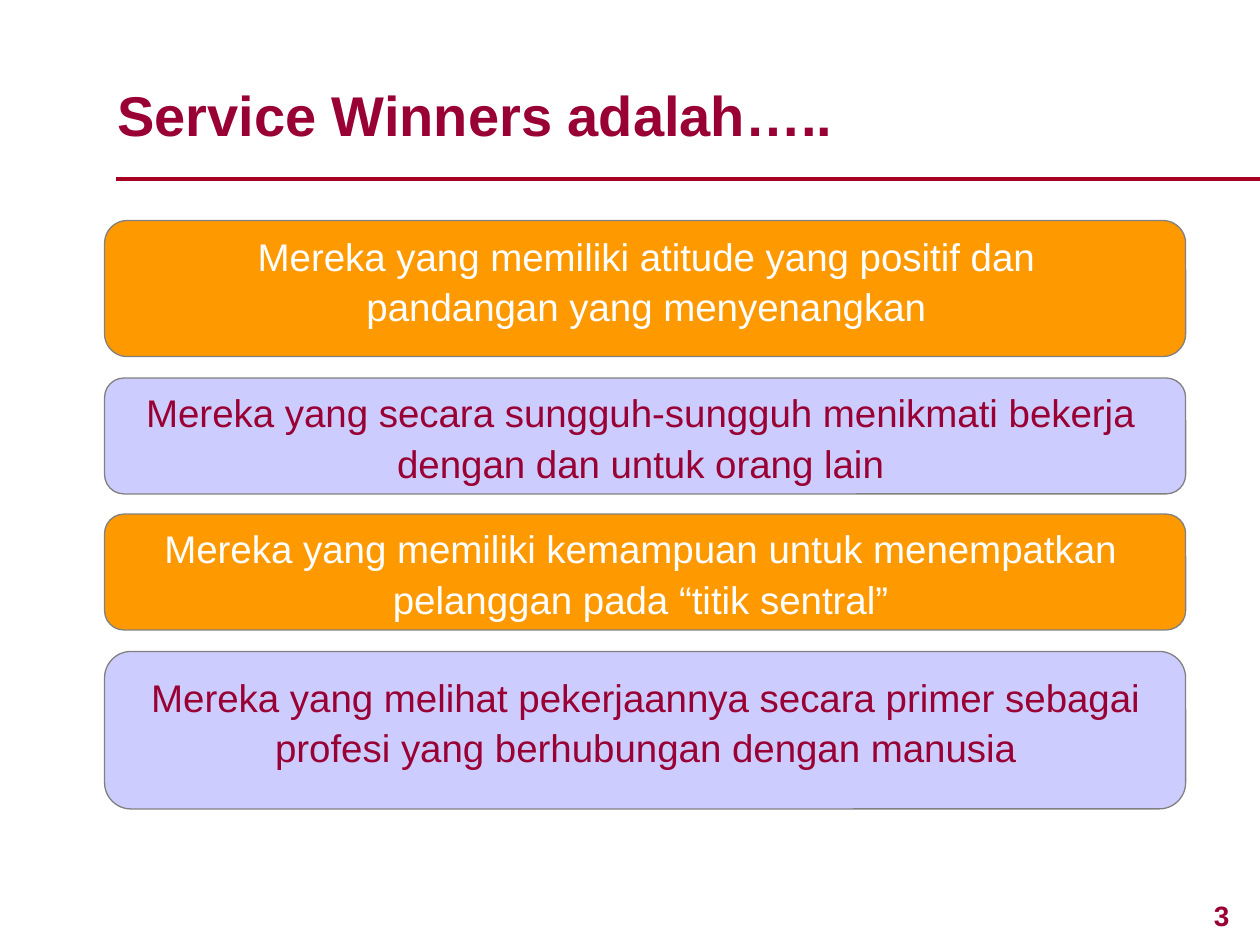
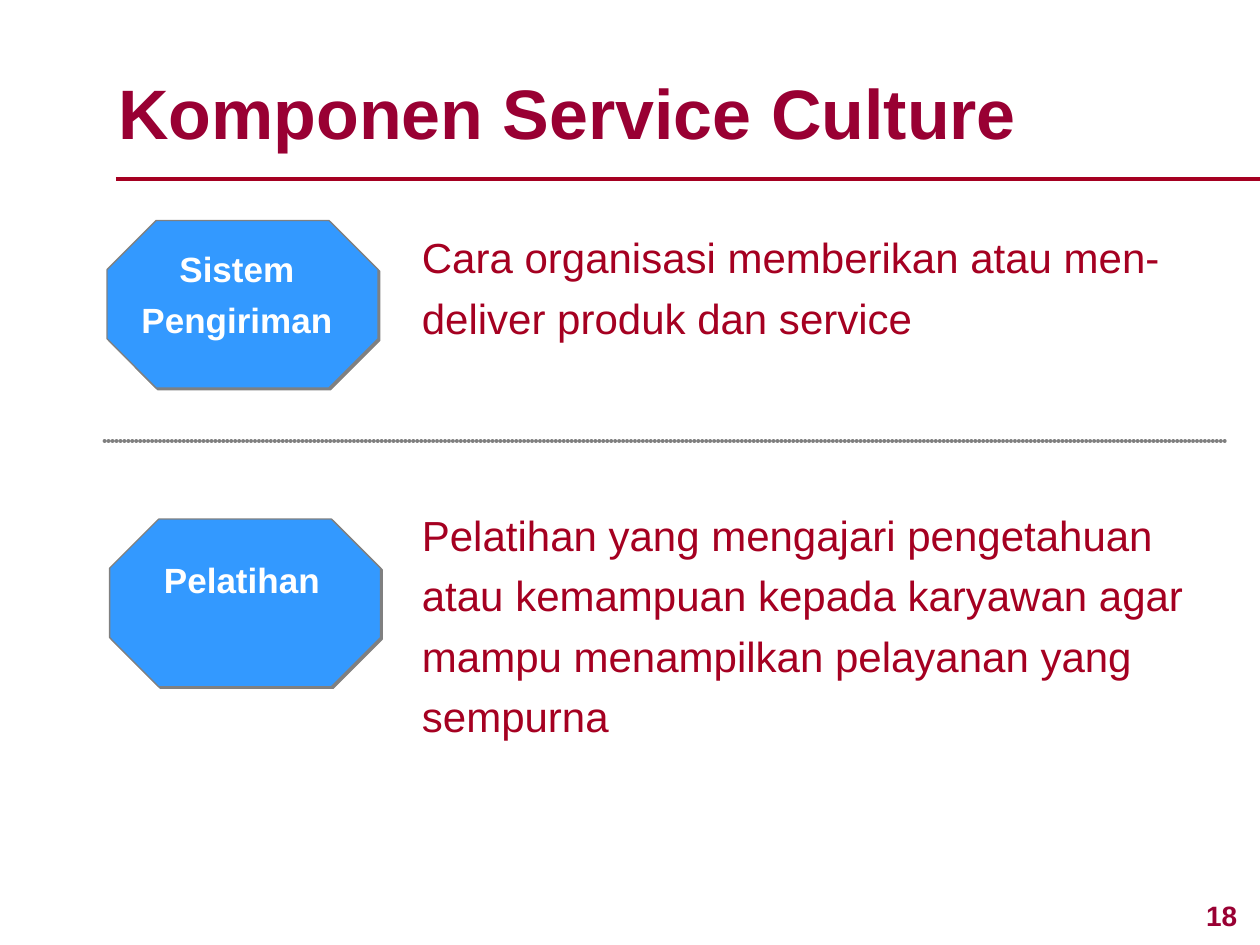
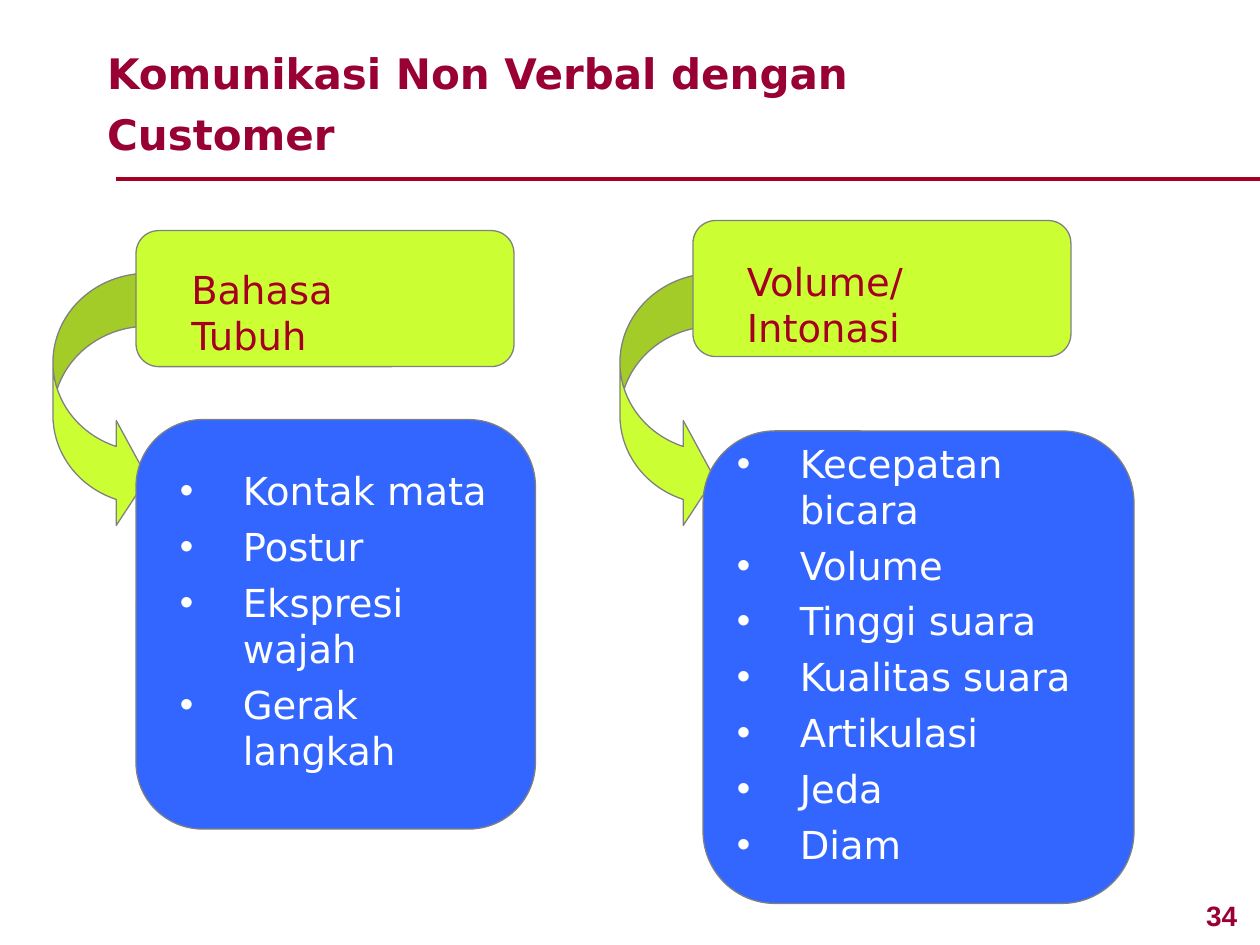
"""Build three slides on service winners, service culture and non-verbal communication."""
from lxml.etree import SubElement
from pptx import Presentation
from pptx.dml.color import RGBColor
from pptx.enum.shapes import MSO_CONNECTOR, MSO_SHAPE as SHAPE
from pptx.enum.text import MSO_ANCHOR as ANCHOR, MSO_AUTO_SIZE, PP_ALIGN as ALIGN
from pptx.oxml import parse_xml
from pptx.oxml.ns import nsdecls, qn
from pptx.util import Inches, Pt

MAROON, CRIMSON, WHITE, GRAY = "990033", "A50021", "FFFFFF", "808080"
ORANGE, LAVENDER, SKY, LIME, BLUE = "FF9900", "CCCCFF", "3399FF", "CCFF33", "3366FF"
SANS, WIDE = "Arial", "DejaVu Sans"
rgb = RGBColor.from_string


def write(box, paragraphs, size, color, font=SANS, bold=False, align=ALIGN.LEFT,
          spacing=1.0, anchor=ANCHOR.TOP, bullets=False):
    """Fill a text box or placeholder with evenly styled paragraphs."""
    frame = box.text_frame
    frame.word_wrap = True
    frame.auto_size = MSO_AUTO_SIZE.NONE
    frame.vertical_anchor = anchor
    for index, words in enumerate(paragraphs):
        paragraph = frame.paragraphs[0] if index == 0 else frame.add_paragraph()
        paragraph.alignment = align
        paragraph.line_spacing = spacing
        if bullets:
            if index:
                paragraph.space_before = Pt(5.5)
            properties = paragraph._p.get_or_add_pPr()
            properties.set("marL", str(Inches(0.5)))
            properties.set("indent", str(Inches(-0.5)))
            SubElement(properties, qn("a:buFont")).set("typeface", SANS)
            SubElement(properties, qn("a:buChar")).set("char", "•")
        run = paragraph.add_run()
        run.text = words
        run.font.name, run.font.size, run.font.bold = font, Pt(size), bold
        run.font.color.rgb = rgb(color)


def panel(slide, kind, place, fill, adjustments):
    """Add a filled shape with a thin gray outline."""
    shape = slide.shapes.add_shape(kind, *map(Inches, place))
    for index, value in enumerate(adjustments):
        shape.adjustments[index] = value
    shape.shadow.inherit = False
    shape.fill.solid()
    shape.fill.fore_color.rgb = rgb(fill)
    shape.line.color.rgb = rgb(GRAY)
    shape.line.width = Pt(0.75)
    return shape


deck = Presentation()
deck.slide_width, deck.slide_height = Inches(10), Inches(7.5)

headings = [
    ("Service Winners adalah…..", "3", (0.83, 0.59, 5.9, 0.64), 32, SANS, 1.0),
    ("Komponen Service Culture", "18", (0.84, 0.5, 7.35, 0.77), 40, SANS, 1.0),
    ("Komunikasi Non Verbal dengan Customer", "34", (0.75, 0.25, 6.75, 1.06), 24, WIDE, 1.2),
]
rules = [[(0.92, 1.42, 10, CRIMSON)],
         [(0.92, 1.42, 10, CRIMSON), (0.83, 3.5, 9.75, GRAY)],
         [(0.92, 1.42, 10, CRIMSON)]]
slides = []
for (heading, number, place, size, font, spacing), slide_rules in zip(headings, rules):
    slide = deck.slides.add_slide(deck.slide_layouts[5])
    slides.append(slide)
    title = slide.shapes.title
    title.left, title.top, title.width, title.height = map(Inches, place)
    write(title, [heading], size, MAROON, font, True, spacing=spacing)
    page = slide.shapes.add_textbox(*map(Inches, (9.39, 7.08, 0.61, 0.37)))
    write(page, [number], 16, MAROON, bold=True, align=ALIGN.CENTER)
    for left, top, right, color in slide_rules:
        rule = slide.shapes.add_connector(
            MSO_CONNECTOR.STRAIGHT, *map(Inches, (left, top, right, top)))
        rule.line.color.rgb = rgb(color)
        rule.line.width = Pt(2.25)
        SubElement(rule._element.spPr, qn("a:effectLst"))
        if color == GRAY:
            stroke = rule.line._get_or_add_ln()
            stroke.set("cap", "rnd")
            dash = SubElement(SubElement(stroke, qn("a:custDash")), qn("a:ds"))
            dash.set("d", "1000")
            dash.set("sp", "100000")

winners, culture, nonverbal = slides

traits = [
    ("Mereka yang memiliki atitude yang positif dan pandangan yang menyenangkan",
     1.75, 1.08, (1.17, 1.76, 7.92, 0.91)),
    ("Mereka yang secara sungguh-sungguh menikmati bekerja dengan dan untuk orang lain",
     3, 0.92, (1, 3, 8.17, 0.91)),
    ("Mereka yang memiliki kemampuan untuk menempatkan pelanggan pada “titik sentral”",
     4.08, 0.92, (1, 4.08, 8.17, 0.91)),
    ("Mereka yang melihat pekerjaannya secara primer sebagai profesi yang berhubungan "
     "dengan manusia", 5.17, 1.25, (1, 5.26, 8.25, 0.91)),
]
for index, (trait, top, height, place) in enumerate(traits):
    fill, color = [(ORANGE, WHITE), (LAVENDER, MAROON)][index % 2]
    panel(winners, SHAPE.ROUNDED_RECTANGLE, (0.83, top, 8.58, height), fill, [0.167])
    write(winners.shapes.add_textbox(*map(Inches, place)), [trait], 22, color,
          align=ALIGN.CENTER, spacing=1.1)

components = [
    ("Sistem Pengiriman", (0.85, 1.75), (0.92, 1.85, 1.92, 0.9),
     "Cara organisasi memberikan atau men-deliver produk dan service",
     (3.25, 1.71, 6.25, 1.06)),
    ("Pelatihan", (0.87, 4.12), (1.08, 4.32, 1.68, 0.5),
     "Pelatihan yang mengajari pengetahuan atau kemampuan kepada karyawan agar mampu "
     "menampilkan pelayanan yang sempurna", (3.25, 3.91, 6.58, 2.02)),
]
for component, corner, label_place, meaning, meaning_place in components:
    octagon = panel(culture, SHAPE.OCTAGON, (*corner, 2.15, 1.33), SKY, [0.293])
    octagon._element.spPr.find(qn("a:effectLst")).append(parse_xml(
        f'<a:outerShdw {nsdecls("a")} dist="{Pt(1.4)}" dir="2700000" algn="ctr" '
        f'rotWithShape="0"><a:srgbClr val="{GRAY}"/></a:outerShdw>'))
    write(culture.shapes.add_textbox(*map(Inches, label_place)), [component], 20, WHITE,
          bold=True, align=ALIGN.CENTER, spacing=1.2)
    write(culture.shapes.add_textbox(*map(Inches, meaning_place)), [meaning], 24, CRIMSON,
          spacing=1.2, anchor=ANCHOR.MIDDLE)

channels = [
    ("Bahasa Tubuh", 0.42, (1.08, 1.83), (1.42, 2.06, 2.25, 0.47),
     (1.08, 3.33, 3.17, 3.25), (1.33, 3.66, 2.75, 2.53),
     ["Kontak mata", "Postur", "Ekspresi wajah", "Gerak langkah"]),
    ("Volume/Intonasi", 4.92, (5.5, 1.75), (5.83, 2, 2.57, 0.47),
     (5.58, 3.42, 3.42, 3.75), (5.75, 3.62, 3.17, 3.13),
     ["Kecepatan bicara", "Volume", "Tinggi suara", "Kualitas suara", "Artikulasi",
      "Jeda", "Diam"]),
]
for channel, arrow_left, corner, label_place, card_place, list_place, signals in channels:
    panel(nonverbal, SHAPE.CURVED_RIGHT_ARROW, (arrow_left, 2.17, 0.75, 2.04), LIME,
          [0.56, 1.11, 0.33])
    panel(nonverbal, SHAPE.ROUNDED_RECTANGLE, (*corner, 3, 1.08), LIME, [0.167])
    panel(nonverbal, SHAPE.ROUNDED_RECTANGLE, card_place, BLUE, [0.167])
    write(nonverbal.shapes.add_textbox(*map(Inches, label_place)), [channel], 22, CRIMSON,
          WIDE)
    write(nonverbal.shapes.add_textbox(*map(Inches, list_place)), signals, 22, WHITE, WIDE,
          anchor=ANCHOR.MIDDLE, bullets=True)

deck.save("out.pptx")
